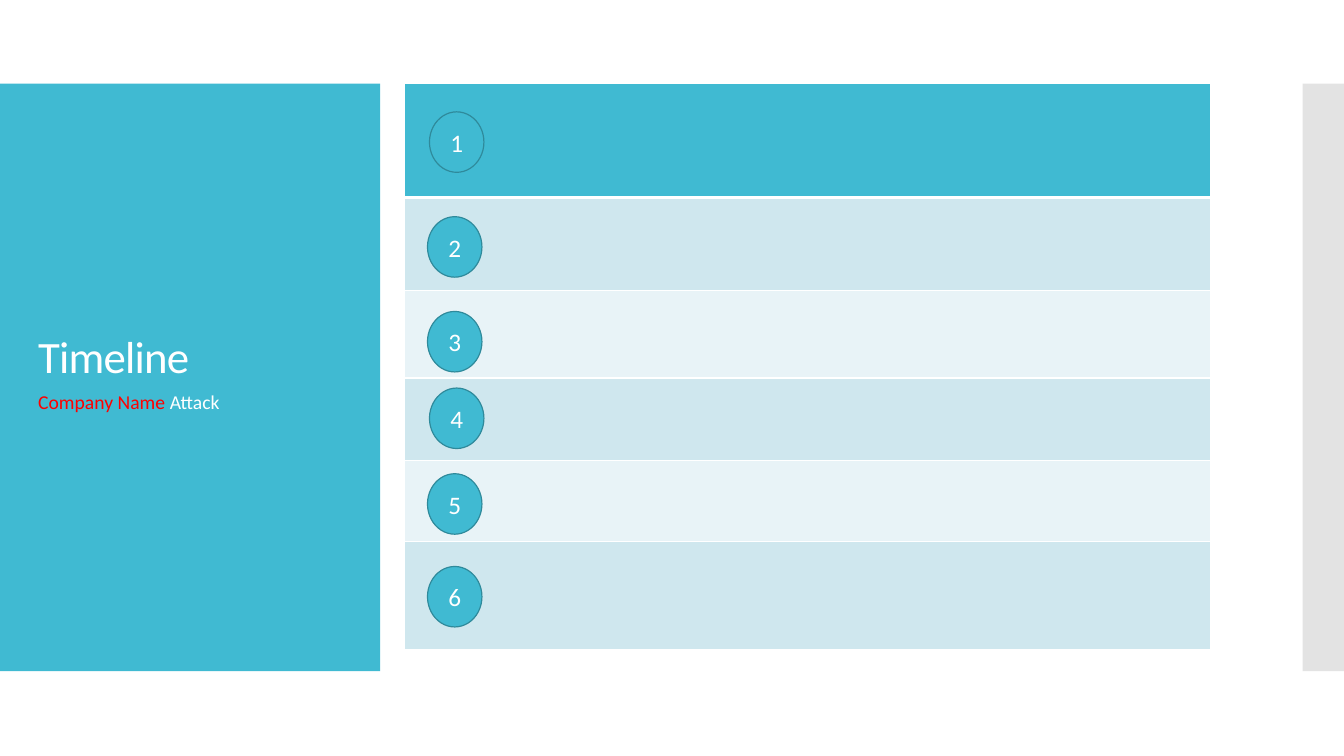
from lxml import etree
from pptx import Presentation
from pptx.dml.color import RGBColor
from pptx.enum.shapes import MSO_SHAPE
from pptx.enum.text import MSO_ANCHOR, PP_ALIGN
from pptx.oxml.ns import qn
from pptx.util import Inches, Pt

RECTANGLE, OVAL = MSO_SHAPE.RECTANGLE, MSO_SHAPE.OVAL
TOP, MIDDLE, BOTTOM = MSO_ANCHOR.TOP, MSO_ANCHOR.MIDDLE, MSO_ANCHOR.BOTTOM
CENTER = PP_ALIGN.CENTER

COLORS = {
    "teal": "40BAD2",
    "outline": "2F8A9B",
    "band_dark": "CFE7EE",
    "band_light": "E8F3F7",
    "edge": "C8C8C8",
    "white": "FFFFFF",
    "red": "FF0000",
}
FONT = "Calibri"
BAND_TOP, BAND_HEIGHT = 0.83, 5.83
ROW_HEIGHTS = [1.13, 0.92, 0.87, 0.82, 0.8, 1.08]
MARKER_PLACES = [(4.26, 1.11), (4.24, 2.15), (4.24, 3.09),
                 (4.26, 3.85), (4.24, 4.7), (4.24, 5.62)]


def color(name):
    """Return the named palette colour."""
    return RGBColor.from_string(COLORS[name])


def set_values(target, values):
    """Set each attribute of target from a dict."""
    for name, value in values.items():
        setattr(target, name, value)


def add_filled_shape(slide, kind, place, fill, line=None):
    """Add a flat preset shape, outlined only if a line colour is given."""
    shape = slide.shapes.add_shape(kind, *map(Inches, place))
    shape.shadow.inherit = False
    shape.fill.solid()
    shape.fill.fore_color.rgb = color(fill)
    if line:
        shape.line.color.rgb = color(line)
        shape.line.width = Pt(0.85)
    else:
        shape.line.fill.background()
    return shape


def set_opacity(shape, percent):
    """Make the solid fill of a shape partly transparent."""
    fill_color = shape.fill._xPr.find(qn("a:solidFill"))[0]
    etree.SubElement(fill_color, qn("a:alpha"), val=str(percent * 1000))


def write_spans(para, spans, size):
    """Fill a paragraph with (text, colour) spans and return its runs."""
    runs = []
    for text, tint in spans:
        span = para.add_run()
        span.text = text
        set_values(span.font, {"name": FONT, "size": Pt(size)})
        span.font.color.rgb = color(tint)
        runs.append(span)
    return runs


def add_text(slide, place, anchor, spans, size, para_format):
    """Add a wrapping one-paragraph text box and return its runs."""
    box = slide.shapes.add_textbox(*map(Inches, place))
    set_values(box.text_frame, {"word_wrap": True, "vertical_anchor": anchor})
    para = box.text_frame.paragraphs[0]
    set_values(para, para_format)
    return write_spans(para, spans, size)


def add_marker(slide, number, place):
    """Add a numbered timeline circle."""
    marker = add_filled_shape(slide, OVAL, (*place, 0.54, 0.6), "teal", "outline")
    marker.text_frame.vertical_anchor = MIDDLE
    para = marker.text_frame.paragraphs[0]
    para.alignment = CENTER
    write_spans(para, [(str(number), "white")], 18)


def style_cell(cell, fill, bottom_width):
    """Give a cell white borders and a solid fill."""
    properties = cell._tc.get_or_add_tcPr()
    for side, width in (("L", 1), ("R", 1), ("T", 1), ("B", bottom_width)):
        border = etree.SubElement(properties, qn(f"a:ln{side}"), w=str(Pt(width)))
        solid = etree.SubElement(border, qn("a:solidFill"))
        etree.SubElement(solid, qn("a:srgbClr"), val=COLORS["white"])
    cell.fill.solid()
    cell.fill.fore_color.rgb = color(fill)


def add_timeline_table(slide):
    """Add the one-column table with a header and alternating bands."""
    place = (4.01, BAND_TOP, 8, sum(ROW_HEIGHTS))
    table = slide.shapes.add_table(len(ROW_HEIGHTS), 1, *map(Inches, place)).table
    for index, height in enumerate(ROW_HEIGHTS):
        table.rows[index].height = Inches(height)
        band = "band_dark" if index % 2 else "band_light"
        is_header = index == 0
        style_cell(table.cell(index, 0), "teal" if is_header else band,
                   3 if is_header else 1)


def main():
    """Build and save the timeline slide."""
    deck = Presentation()
    set_values(deck, {"slide_width": Inches(13.33), "slide_height": Inches(7.5)})
    page = deck.slides.add_slide(deck.slide_layouts[6])

    add_filled_shape(page, RECTANGLE, (0, BAND_TOP, 3.77, BAND_HEIGHT), "teal")
    edge = add_filled_shape(page, RECTANGLE, (12.92, BAND_TOP, 0.41, BAND_HEIGHT), "edge")
    set_opacity(edge, 50)

    title = add_text(page, (0.28, 1.25, 3.1, 2.6), BOTTOM,
                     [("Timeline", "white")], 32, {"line_spacing": 0.9})
    title[0].font._element.set("spc", "-60")
    add_timeline_table(page)
    add_text(page, (0.28, 3.82, 3.1, 2.54), TOP,
             [("Company Name ", "red"), ("Attack", "white")], 14,
             {"space_before": Pt(12)})

    for number, place in enumerate(MARKER_PLACES, 1):
        add_marker(page, number, place)
    deck.save("out.pptx")


main()
